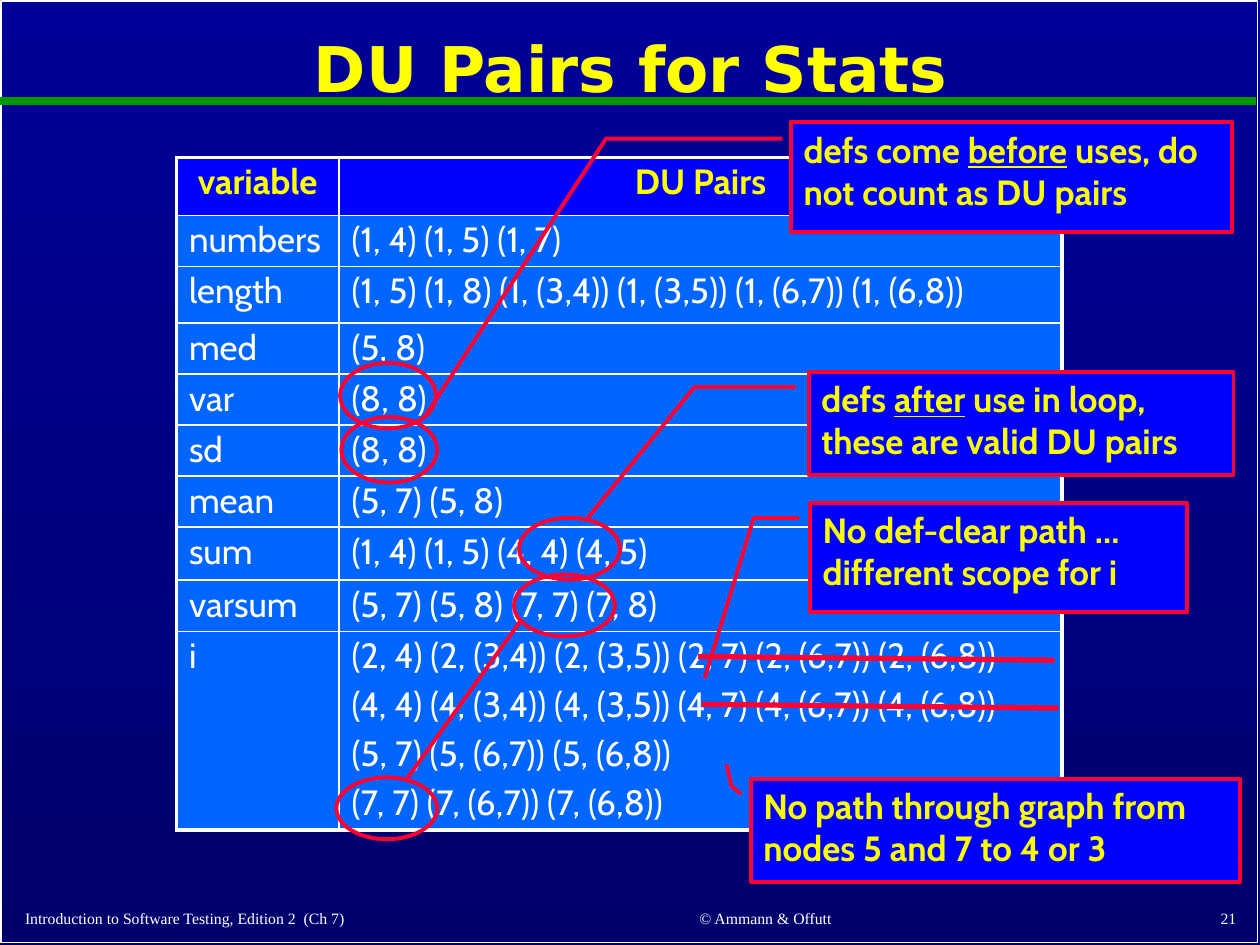
from lxml import etree
from pptx import Presentation
from pptx.dml.color import RGBColor
from pptx.enum.shapes import MSO_CONNECTOR, MSO_SHAPE
from pptx.enum.text import MSO_ANCHOR, PP_ALIGN
from pptx.oxml.ns import qn
from pptx.util import Inches, Pt

LEFT, CENTER, RIGHT = PP_ALIGN.LEFT, PP_ALIGN.CENTER, PP_ALIGN.RIGHT
TOP, MIDDLE = MSO_ANCHOR.TOP, MSO_ANCHOR.MIDDLE
STRAIGHT = MSO_CONNECTOR.STRAIGHT
RECTANGLE, ELLIPSE = MSO_SHAPE.RECTANGLE, MSO_SHAPE.OVAL
CALLOUT = MSO_SHAPE.LINE_CALLOUT_2

WHITE, YELLOW, NOTE_YELLOW = "FFFFFF", "FFFF00", "FAFD00"
RED, GREEN, BLUE, CELL_BLUE = "FF0033", "009900", "0000FF", "0066FF"
COLUMNS, ROWS = 100, 75
WIDTH, HEIGHT = Inches(10), Inches(7.5)

PAIRS = [
    ("variable", "DU Pairs"),
    ("numbers", "(1, 4) (1, 5) (1, 7)"),
    ("length", "(1, 5) (1, 8) (1, (3,4)) (1, (3,5)) (1, (6,7)) (1, (6,8))"),
    ("med", "(5, 8)"),
    ("var", "(8, 8)"),
    ("sd", "(8, 8)"),
    ("mean", "(5, 7) (5, 8)"),
    ("sum", "(1, 4) (1, 5) (4, 4) (4, 5)"),
    ("varsum", "(5, 7) (5, 8) (7, 7) (7, 8)"),
    ("i", "(2, 4) (2, (3,4)) (2, (3,5)) (2, 7) (2, (6,7)) (2, (6,8))\n"
          "(4, 4) (4, (3,4)) (4, (3,5)) (4, 7) (4, (6,7)) (4, (6,8))\n"
          "(5, 7) (5, (6,7)) (5, (6,8))\n"
          "(7, 7) (7, (6,7)) (7, (6,8))"),
]
VARIABLE_WIDTH, PAIRS_WIDTH = 12.9, 57.4
ROW_HEIGHTS = [4.6, 4.05, 4.5, 4.05, 4.05, 4.05, 4.05, 4.2, 4.1, 15.75]


def across(columns):
    """Turn grid columns into a horizontal length."""
    return round(WIDTH * columns / COLUMNS)


def down(rows):
    """Turn grid rows into a vertical length."""
    return round(HEIGHT * rows / ROWS)


def place(x, y, w, h):
    """Turn a grid area into left, top, width and height."""
    return across(x), down(y), across(w), down(h)


def color(code):
    """Turn a hex string into a colour."""
    return RGBColor.from_string(code)


def write(frame, text, size=20, font="Cabin", ink=WHITE, bold=False,
          align=LEFT, spacing=1.0, gap=0):
    """Write lines as paragraphs, underlining what stands between underscores."""
    frame.word_wrap = True
    for number, line in enumerate(text.split("\n")):
        paragraph = frame.add_paragraph() if number else frame.paragraphs[0]
        paragraph.alignment, paragraph.line_spacing = align, spacing
        paragraph.space_before = Pt(gap if number else 0)
        for part, words in enumerate(line.split("_")):
            run = paragraph.add_run()
            run.text = words
            run.font.size, run.font.name, run.font.bold = Pt(size), font, bold
            run.font.color.rgb = color(ink)
            if part % 2:
                run.font.underline = True


def add_outline(slide, kind, area, ink=RED, weight=2.25, fill=None):
    """Add a preset shape with a line and an optional fill."""
    shape = slide.shapes.add_shape(kind, *place(*area))
    shape.shadow.inherit = False
    shape.line.color.rgb = color(ink)
    shape.line.width = Pt(weight)
    if fill:
        shape.fill.solid()
        shape.fill.fore_color.rgb = color(fill)
    else:
        shape.fill.background()
    return shape


def add_callout(slide, area, leader, text):
    """Add a note whose leader is given as shares of its height and width."""
    note = add_outline(slide, CALLOUT, area, fill=BLUE)
    for index, share in enumerate(leader):
        note.adjustments[index] = share
    note.text_frame.vertical_anchor = TOP
    write(note.text_frame, text, ink=NOTE_YELLOW, bold=True)


def add_line(slide, x1, y1, x2, y2, ink=RED, weight=2.25):
    """Add a straight line between two grid points."""
    line = slide.shapes.add_connector(
        STRAIGHT, across(x1), down(y1), across(x2), down(y2))
    line.line.color.rgb = color(ink)
    line.line.width = Pt(weight)
    etree.SubElement(line._element.spPr, qn("a:effectLst"))


def add_footer(slide, area, text, align):
    """Add a small line of text at the foot of the slide."""
    frame = slide.shapes.add_textbox(*place(*area)).text_frame
    frame.vertical_anchor = MIDDLE
    write(frame, text, size=9, font="Times New Roman", align=align)


def set_borders(cell, **weights):
    """Draw white cell borders of the given weights, ahead of the fill."""
    properties = cell._tc.get_or_add_tcPr()
    for index, (side, weight) in enumerate(weights.items()):
        border = etree.Element(qn(f"a:ln{side}"), w=str(Pt(weight)))
        fill = etree.SubElement(border, qn("a:solidFill"))
        etree.SubElement(fill, qn("a:srgbClr"), val=WHITE)
        properties.insert(index, border)


def add_pairs_table(slide):
    """Add the table of variables and their DU pairs."""
    area = place(14, 12.5, VARIABLE_WIDTH + PAIRS_WIDTH, sum(ROW_HEIGHTS))
    table = slide.shapes.add_table(len(PAIRS), 2, *area).table
    for column, width in zip(table.columns, (VARIABLE_WIDTH, PAIRS_WIDTH)):
        column.width = across(width)
    for r, (entry, height) in enumerate(zip(PAIRS, ROW_HEIGHTS)):
        table.rows[r].height = down(height)
        header = r == 0
        for c, text in enumerate(entry):
            cell = table.cell(r, c)
            cell.fill.solid()
            cell.fill.fore_color.rgb = color(BLUE if header else CELL_BLUE)
            write(cell.text_frame, text, ink=YELLOW if header else WHITE,
                  bold=header, align=CENTER if header else LEFT,
                  spacing=0.9, gap=6)
            set_borders(cell, L=1 if c else 2.25, R=2.25 if c else 1,
                        T=2.25 if header else 1,
                        B=2.25 if r == len(PAIRS) - 1 else 1)


def add_frame(slide):
    """Set the background, border, rule, title and footers."""
    fill = slide.background.fill
    fill.gradient()
    fill.gradient_angle = 270
    for stop, code in zip(fill.gradient_stops, ("000099", "00006D")):
        stop.color.rgb = color(code)
    add_outline(slide, RECTANGLE, (0.1, 0.1, 99.7, 74.7), WHITE, 1)
    add_line(slide, 0, 8, 99.7, 8, GREEN, 4.5)
    title = slide.shapes.title
    title.left, title.top, title.width, title.height = place(0.8, 1.1, 98.5, 9.2)
    title.text_frame.vertical_anchor = MIDDLE
    write(title.text_frame, "DU Pairs for Stats", size=36, font="DejaVu Sans",
          ink=YELLOW, bold=True, align=CENTER, spacing=0.9)
    add_footer(slide, (1, 71.6, 41.1, 2.6),
               "Introduction to Software Testing, Edition 2  (Ch 7)", LEFT)
    add_footer(slide, (44.9, 71.6, 31.7, 2.6), "© Ammann & Offutt", CENTER)
    add_footer(slide, (78.3, 71.5, 20.8, 2.7), "21", RIGHT)


def main():
    """Build the slide and save it."""
    deck = Presentation()
    deck.slide_width, deck.slide_height = WIDTH, HEIGHT
    slide = deck.slides.add_slide(deck.slide_layouts[5])
    add_frame(slide)
    add_pairs_table(slide)
    for x, y in ((55.4, 52.1), (55.7, 55.9)):
        add_line(slide, x, y, x + 28.3, y + 0.3, weight=3)
    add_callout(slide, (64.3, 39.9, 29.9, 8.7),
                (0.14, -0.03, 0.14, -0.15, 1.6, -0.28),
                "No def-clear path …\ndifferent scope for i")
    add_callout(slide, (59.6, 61.8, 38.8, 8.2),
                (0.15, -0.02, 0.07, -0.04, -0.14, -0.05),
                "No path through graph from nodes 5 and 7 to 4 or 3")
    add_callout(slide, (62.8, 9.7, 35, 8.7),
                (0.15, -0.02, 0.15, -0.42, 2.68, -0.83),
                "defs come _before_ uses, do not count as DU pairs")
    add_callout(slide, (64.2, 29.5, 33.7, 8.2),
                (0.15, -0.03, 0.15, -0.27, 1.41, -0.52),
                "defs _after_ use in loop, these are valid DU pairs")
    for x, y in ((27.1, 33.1), (27, 28.8)):
        add_outline(slide, ELLIPSE, (x, y, 7.6, 5.2))
    for x, y in ((41.2, 41.1), (26.7, 61.7), (40.8, 45.6)):
        add_outline(slide, ELLIPSE, (x, y, 8, 4.9))
    add_line(slide, 32.3, 61.8, 41.3, 49.3)
    deck.save("out.pptx")


if __name__ == "__main__":
    main()
